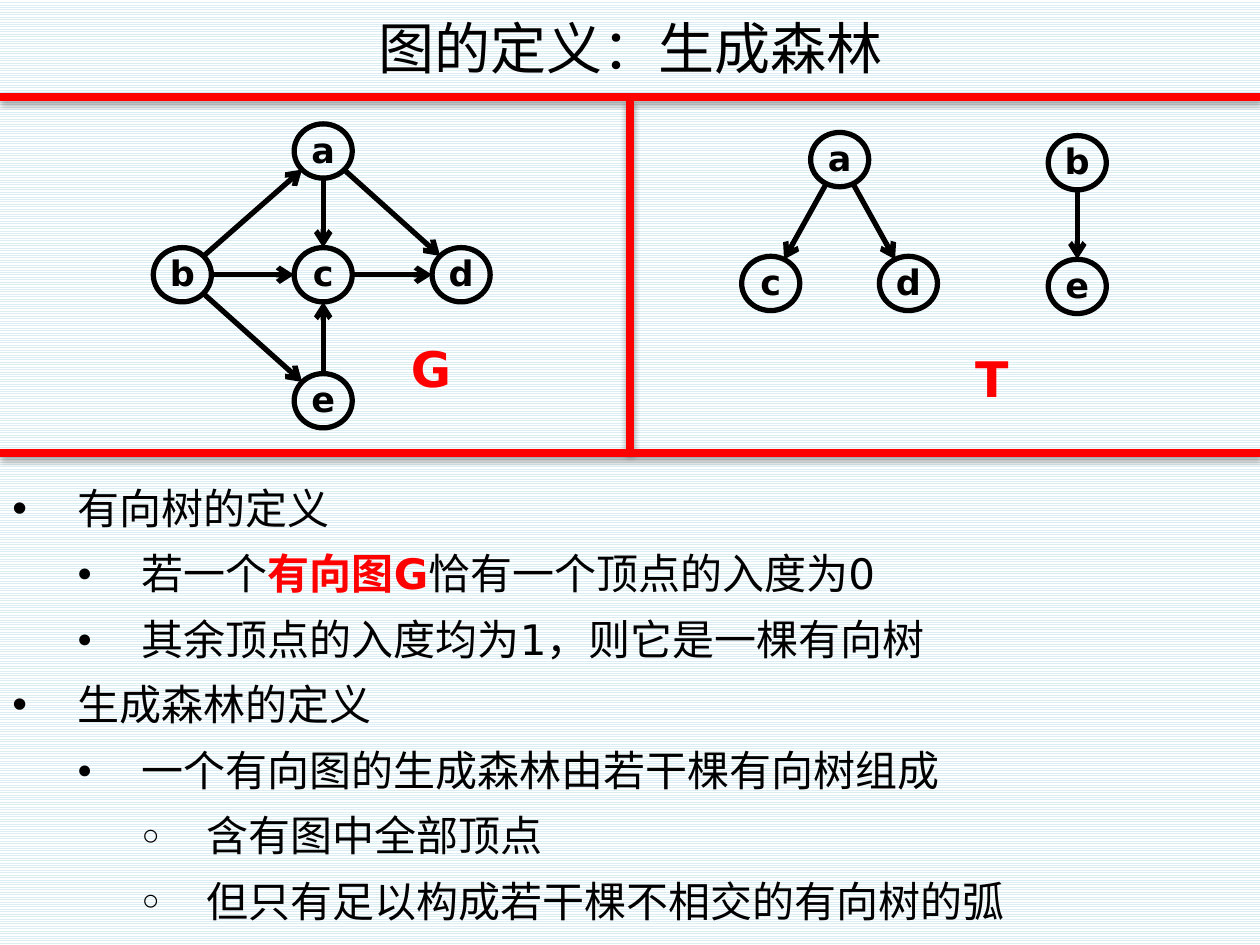
from math import hypot

from lxml.etree import SubElement
from pptx import Presentation
from pptx.dml.color import RGBColor
from pptx.enum.dml import MSO_PATTERN
from pptx.enum.shapes import MSO_CONNECTOR, MSO_SHAPE
from pptx.enum.text import MSO_ANCHOR, PP_ALIGN
from pptx.oxml.ns import qn
from pptx.util import Pt

BLACK = RGBColor(0, 0, 0)
RED = RGBColor(255, 0, 0)
WHITE = RGBColor(255, 255, 255)
PALE_BLUE = RGBColor(0xDB, 0xEE, 0xF4)
LATIN, CHINESE, BULLET_FONT = "DejaVu Sans", "Noto Sans CJK SC", "Arial"

WIDTH, HEIGHT = 720, 540
NODE_WIDTH, NODE_HEIGHT = 33.2, 31
LABEL_WIDTH, LABEL_HEIGHT = 62, 36.7
INDENT = 37

TITLE = "图的定义：生成森林"
GRAPHS = [
    {
        "label": ("G", 215.3, 193.7),
        "nodes": {"a": (184.7, 86.3), "b": (104.2, 157), "c": (184.7, 157),
                  "d": (263.5, 157), "e": (184.7, 229)},
        "arcs": ["ba", "bc", "be", "ac", "ad", "cd", "ec"],
    },
    {
        "label": ("T", 535.7, 199.4),
        "nodes": {"a": (479.8, 91.2), "b": (615.6, 93), "c": (440.4, 162),
                  "d": (519.1, 162), "e": (615.6, 163.7)},
        "arcs": ["ac", "ad", "be"],
    },
]
RULES = [
    ((0, 55.4), (WIDTH, 55.4)),
    ((360, 57.6), (360, 258.8)),
    ((0, 258.8), (WIDTH, 258.8)),
]
BULLETS = {1: (1, "•", 100), 2: (1, "●", 60), 3: (2, "○", 70)}
OUTLINE = [
    (1, [("有向树的定义", False)]),
    (2, [("若一个", False), ("有向图G", True), ("恰有一个顶点的入度为0", False)]),
    (2, [("其余顶点的入度均为1，则它是一棵有向树", False)]),
    (1, [("生成森林的定义", False)]),
    (2, [("一个有向图的生成森林由若干棵有向树组成", False)]),
    (3, [("含有图中全部顶点", False)]),
    (3, [("但只有足以构成若干棵不相交的有向树的弧", False)]),
]


def add_span(para, text, size, color=BLACK, bold=False, latin=LATIN):
    span = para.add_run()
    span.text = text
    span.font.size = Pt(size)
    span.font.bold = bold
    span.font.color.rgb = color
    span.font.name = latin
    SubElement(span.font._element, qn("a:ea"), typeface=CHINESE)


def clear_margins(frame):
    frame.margin_left = frame.margin_right = Pt(0)
    frame.margin_top = frame.margin_bottom = Pt(0)


def add_line(page, start, end, color, width):
    line = page.shapes.add_connector(
        MSO_CONNECTOR.STRAIGHT, *[Pt(value) for value in (*start, *end)])
    line.line.color.rgb = color
    line.line.width = Pt(width)
    effects = SubElement(line._element.spPr, qn("a:effectLst"))
    return line, effects


def add_rule(page, start, end):
    effects = add_line(page, start, end, RED, 4.5)[1]
    shadow = SubElement(effects, qn("a:outerShdw"), blurRad="40000",
                        dist="23000", dir="5400000", rotWithShape="0")
    color = SubElement(shadow, qn("a:srgbClr"), val=str(BLACK))
    SubElement(color, qn("a:alpha"), val="35000")


def add_arc(page, source, target):
    dx, dy = target[0] - source[0], target[1] - source[1]
    scale = 1 / hypot(dx / (NODE_WIDTH / 2), dy / (NODE_HEIGHT / 2))
    start = source[0] + dx * scale, source[1] + dy * scale
    end = target[0] - dx * scale, target[1] - dy * scale
    arc = add_line(page, start, end, BLACK, 3)[0]
    SubElement(arc.line._get_or_add_ln(), qn("a:tailEnd"), type="arrow")


def add_node(page, name, center):
    node = page.shapes.add_shape(
        MSO_SHAPE.OVAL, Pt(center[0] - NODE_WIDTH / 2),
        Pt(center[1] - NODE_HEIGHT / 2), Pt(NODE_WIDTH), Pt(NODE_HEIGHT))
    node.shadow.inherit = False
    node.fill.background()
    node.line.color.rgb = BLACK
    node.line.width = Pt(3)
    frame = node.text_frame
    clear_margins(frame)
    frame.vertical_anchor = MSO_ANCHOR.BOTTOM
    frame.paragraphs[0].alignment = PP_ALIGN.CENTER
    add_span(frame.paragraphs[0], name, 20, bold=True)


def add_graph(page, graph):
    nodes = graph["nodes"]
    for source, target in graph["arcs"]:
        add_arc(page, nodes[source], nodes[target])
    for name, center in nodes.items():
        add_node(page, name, center)
    text, left, top = graph["label"]
    box = page.shapes.add_textbox(
        Pt(left), Pt(top), Pt(LABEL_WIDTH), Pt(LABEL_HEIGHT))
    frame = box.text_frame
    clear_margins(frame)
    frame.word_wrap = False
    frame.paragraphs[0].alignment = PP_ALIGN.CENTER
    add_span(frame.paragraphs[0], text, 28, RED, True)


def add_title(page):
    title = page.shapes.title
    title.left, title.top = Pt(0), Pt(3.6)
    title.width, title.height = Pt(WIDTH + 0.7), Pt(46.8)
    frame = title.text_frame
    frame.vertical_anchor = MSO_ANCHOR.MIDDLE
    frame.paragraphs[0].alignment = PP_ALIGN.CENTER
    add_span(frame.paragraphs[0], TITLE, 32, latin=CHINESE)


def add_outline(page):
    box = page.shapes.add_textbox(Pt(0), Pt(263.5), Pt(WIDTH), Pt(276.5))
    frame = box.text_frame
    frame.word_wrap = True
    for index, (depth, spans) in enumerate(OUTLINE):
        para = frame.add_paragraph() if index else frame.paragraphs[0]
        level, symbol, percent = BULLETS[depth]
        para.level = level
        para.line_spacing = 1.3
        props = para._p.get_or_add_pPr()
        props.set("marL", str(Pt(INDENT * depth)))
        props.set("indent", str(Pt(-INDENT)))
        color = SubElement(props, qn("a:buClr"))
        SubElement(color, qn("a:srgbClr"), val=str(BLACK))
        SubElement(props, qn("a:buSzPct"), val=str(percent * 1000))
        SubElement(props, qn("a:buFont"), typeface=BULLET_FONT)
        SubElement(props, qn("a:buChar"), char=symbol)
        for text, key in spans:
            add_span(para, text, 24, RED if key else BLACK, key)


def main():
    deck = Presentation()
    deck.slide_width, deck.slide_height = Pt(WIDTH), Pt(HEIGHT)
    page = deck.slides.add_slide(deck.slide_layouts[5])
    fill = page.background.fill
    fill.patterned()
    fill.pattern = MSO_PATTERN.LIGHT_HORIZONTAL
    fill.fore_color.rgb = PALE_BLUE
    fill.back_color.rgb = WHITE
    add_title(page)
    add_outline(page)
    for graph in GRAPHS:
        add_graph(page, graph)
    for start, end in RULES:
        add_rule(page, start, end)
    deck.save("out.pptx")


if __name__ == "__main__":
    main()
